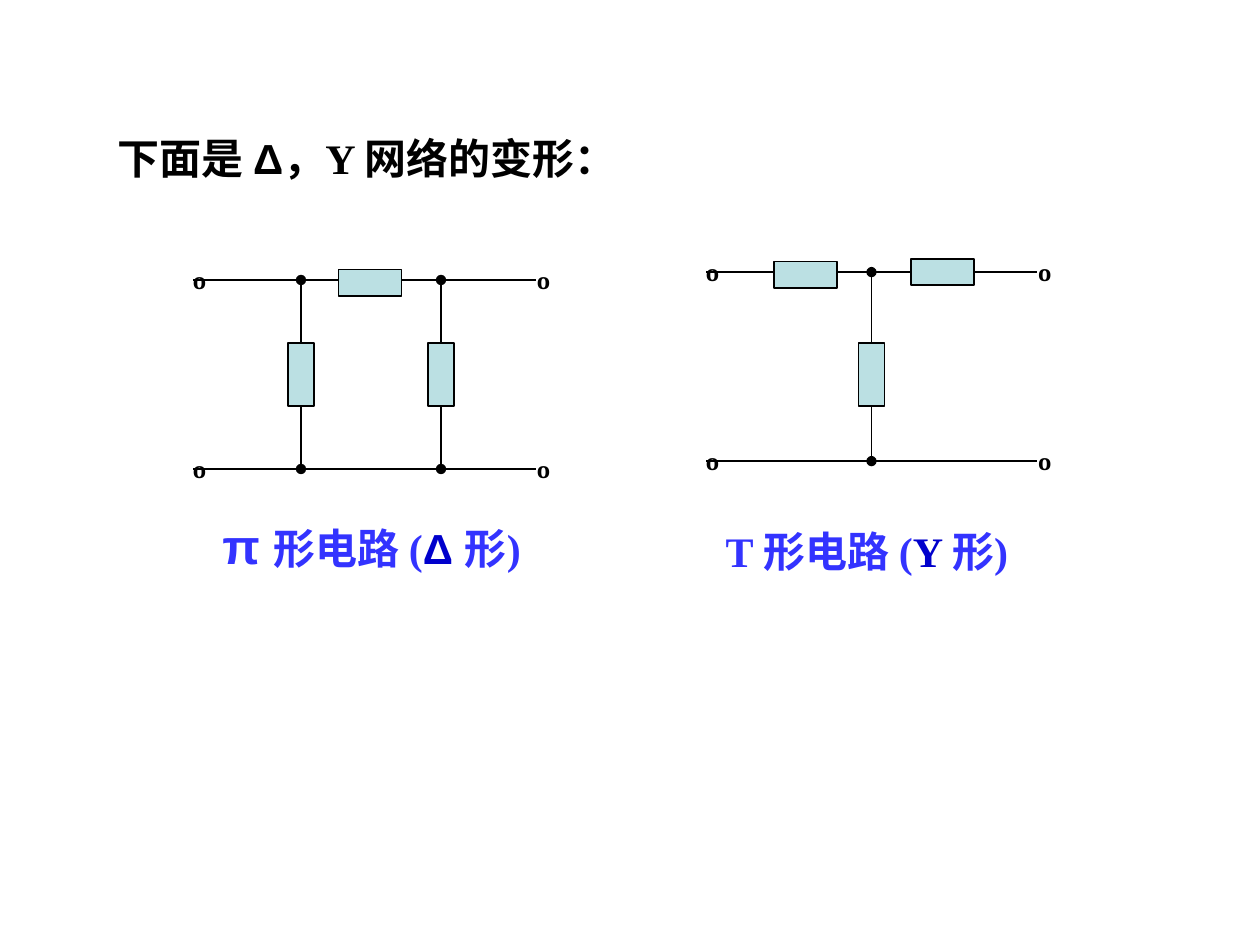
from lxml import etree
from pptx import Presentation
from pptx.dml.color import RGBColor
from pptx.enum.shapes import MSO_CONNECTOR as Connector, MSO_SHAPE as Shape
from pptx.enum.text import MSO_ANCHOR as Anchor, MSO_AUTO_SIZE as AutoSize, PP_ALIGN as Align
from pptx.oxml.ns import qn
from pptx.util import Pt

LATIN = "Times New Roman"
SANS = "Arial"
BLACK, BLUE, DARK_BLUE, RESISTOR_FILL = "000000", "3333FF", "0000CC", "BBE0E3"
RESISTOR_LENGTH, RESISTOR_THICKNESS = 36, 15


def color(hex_string):
    return RGBColor.from_string(hex_string)


def set_font(font, name=LATIN, size=24, hex_color=BLACK):
    font.name, font.size, font.bold = name, Pt(size), True
    font.color.rgb = color(hex_color)


def add_wire(group, start, end, nodes=False):
    """Draw a wire, with a round node at each end if asked."""
    wire = group.shapes.add_connector(Connector.STRAIGHT, *map(Pt, start + end))
    wire.line.width = Pt(1)
    wire.line.color.rgb = color(BLACK)
    if nodes:
        line = wire.line._get_or_add_ln()
        for tag in ("a:headEnd", "a:tailEnd"):
            etree.SubElement(line, qn(tag), type="oval")
    etree.SubElement(wire._element.spPr, qn("a:effectLst"))


def add_resistor(group, center_x, center_y, width, height):
    resistor = group.shapes.add_shape(
        Shape.RECTANGLE, Pt(center_x - width / 2), Pt(center_y - height / 2), Pt(width), Pt(height))
    resistor.shadow.inherit = False
    resistor.fill.solid()
    resistor.fill.fore_color.rgb = color(RESISTOR_FILL)
    resistor.line.width = Pt(1)
    resistor.line.color.rgb = color(BLACK)


def add_terminal(group, center_x, wire_y):
    width, height = 14.4, 36
    box = group.shapes.add_textbox(Pt(center_x - width / 2), Pt(wire_y - 13), Pt(width), Pt(height))
    frame = box.text_frame
    frame.word_wrap = True
    frame.margin_left = frame.margin_right = 0
    frame.vertical_anchor = Anchor.MIDDLE
    paragraph = frame.paragraphs[0]
    paragraph.text = "º"
    paragraph.alignment = Align.CENTER
    set_font(paragraph.font)


def add_circuit(slide, left, top, width, height, branches, series, branch_shift=0):
    """Two rails in the box; branches are x offsets, series are (x, y) offsets."""
    group = slide.shapes.add_group_shape()
    right, bottom = left + width, top + height
    # Rails and their terminals
    for y in (top, bottom):
        add_wire(group, (left, y), (right, y))
        add_terminal(group, left + 3.6, y)
        add_terminal(group, right + 4.6, y)
    # Resistors along the top rail
    for x, y in series:
        add_resistor(group, left + x, top + y, RESISTOR_LENGTH, RESISTOR_THICKNESS)
    # Branches between the rails
    for x in branches:
        add_wire(group, (left + x, top), (left + x, bottom), nodes=True)
        add_resistor(group, left + x, top + height / 2 + branch_shift,
                     RESISTOR_THICKNESS, RESISTOR_LENGTH)


def fill_runs(paragraph, runs):
    for text, name, size, hex_color in runs:
        run = paragraph.add_run()
        run.text = text
        set_font(run.font, name, size, hex_color)


def add_title(slide, left, top, width, height):
    title = slide.shapes.title
    title.left, title.top, title.width, title.height = map(Pt, (left, top, width, height))
    frame = title.text_frame
    frame.auto_size = AutoSize.NONE
    frame.vertical_anchor = Anchor.TOP
    paragraph = frame.paragraphs[0]
    paragraph.alignment = Align.LEFT
    fill_runs(paragraph, [
        ("下面是 ", LATIN, 24, BLACK),
        ("Δ", SANS, 24, BLACK),
        ("，Y 网络的变形：", LATIN, 24, BLACK),
    ])


def add_caption(slide, left, top, width, height, runs):
    frame = slide.shapes.add_textbox(*map(Pt, (left, top, width, height))).text_frame
    frame.word_wrap = True
    fill_runs(frame.paragraphs[0], runs)


def main():
    presentation = Presentation()
    presentation.slide_width, presentation.slide_height = Pt(720), Pt(540)
    slide = presentation.slides.add_slide(presentation.slide_layouts[5])

    add_title(slide, 60, 72, 342, 36)

    # Pi circuit
    add_circuit(slide, 110.5, 160, 195.5, 108, branches=(61.5, 141.5), series=[(101, 1.5)])
    add_caption(slide, 120, 291, 198, 41, [
        ("π ", SANS, 28, BLUE),
        ("形电路 (", LATIN, 24, BLUE),
        ("Δ ", SANS, 24, DARK_BLUE),
        ("形)", LATIN, 24, BLUE),
    ])

    # T circuit
    add_circuit(slide, 403.5, 155.5, 189, 108, branches=(94.5,),
                series=[(57, 1.5), (135, 0)], branch_shift=4.5)
    add_caption(slide, 402, 296.5, 204, 65, [
        (" T 形电路 (", LATIN, 24, BLUE),
        ("Y ", LATIN, 24, DARK_BLUE),
        ("形)", LATIN, 24, BLUE),
    ])

    presentation.save("out.pptx")


if __name__ == "__main__":
    main()
